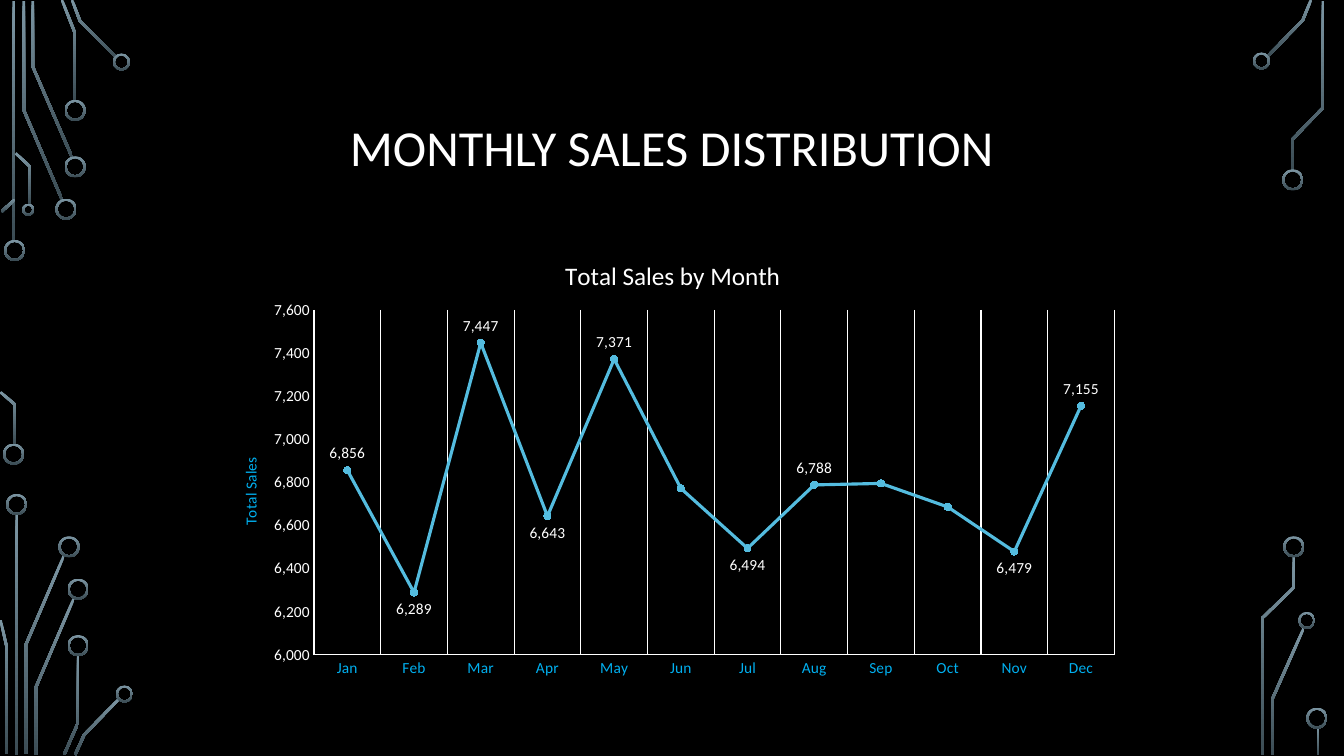
from math import hypot

from lxml import etree
from pptx import Presentation
from pptx.chart.data import CategoryChartData
from pptx.dml.color import RGBColor
from pptx.enum.chart import XL_CHART_TYPE as ChartType
from pptx.enum.chart import XL_LABEL_POSITION as LabelSpot
from pptx.enum.chart import XL_MARKER_STYLE as Marker
from pptx.enum.chart import XL_TICK_MARK as Tick
from pptx.enum.shapes import MSO_SHAPE as Preset
from pptx.enum.text import MSO_ANCHOR as Anchor
from pptx.enum.text import PP_ALIGN as Align
from pptx.oxml.ns import qn
from pptx.util import Emu, Pt

# Content
TITLE = "MONTHLY SALES DISTRIBUTION"
CHART_TITLE = "Total Sales by Month"
AXIS_TITLE = "Total Sales"
SALES = {
    "Jan": 6856, "Feb": 6289, "Mar": 7447, "Apr": 6643, "May": 7371, "Jun": 6772,
    "Jul": 6494, "Aug": 6788, "Sep": 6795, "Oct": 6686, "Nov": 6479, "Dec": 7155,
}
LABEL_BELOW = ("Feb", "Apr", "Jul", "Nov")
LABEL_HIDDEN = ("Jun", "Sep", "Oct")

# Circuit decoration: centre lines of the traces, then rings as left, top, size
TRACES = [
    # top left
    [(13, 1), (13, 240)],
    [(23, 1), (23, 109), (61, 198)],
    [(32, 1), (32, 66), (71, 156)],
    [(61, 0), (74, 33), (74, 100)],
    [(71, 0), (79, 21), (115, 57)],
    [(1, 210), (14, 198)],
    [(0, 389), (14, 401), (14, 441)],
    [(15, 152), (29, 165), (29, 203)],
    # bottom left
    [(16, 510), (16, 749)],
    [(63, 551), (25, 640), (25, 748)],
    [(0, 615), (6, 641), (6, 748)],
    [(73, 593), (35, 682), (35, 749)],
    [(77, 650), (77, 717), (63, 749)],
    [(118, 693), (83, 729), (74, 749)],
    # right
    [(1300, 0), (1292, 20), (1257, 56)],
    [(1312, 1), (1312, 107), (1282, 138), (1282, 169)],
    [(1293, 623), (1262, 693), (1262, 749)],
    [(1283, 552), (1283, 583), (1252, 613), (1252, 749)],
    [(1307, 721), (1307, 749)],
]
RINGS = [
    (4, 238, 21), (3, 440, 21), (55, 197, 21), (64, 155, 21), (64, 99, 21),
    (112, 53, 17), (22, 202, 12), (6, 490, 21), (58, 532, 21), (67, 574, 21),
    (67, 630, 21), (115, 680, 17), (1243, 52, 17), (1272, 168, 21),
    (1288, 607, 17), (1273, 532, 21), (1296, 702, 21),
]

THEME = {
    "font": "Calibri",
    "back": "000000", "text": "FFFFFF", "accent": "00B0F0", "line": "54BCDF",
    "trace_top": "7C96A3", "trace_end": "3B4C54",
    "title_size": 36, "chart_title_size": 18, "label_size": 11,
}

# Geometry, 100 px to the inch
PX = 9144
TITLE_BOX = (125, 68, 1083, 162)
CHART_BOX = (208, 229, 916, 453)
TRACE_WIDTH = 2.6
RING_WIDTH = 2


def px(*lengths):
    return [Emu(round(length * PX)) for length in lengths]


def color(name):
    return RGBColor.from_string(THEME[name])


def style_font(font, size, name="text"):
    font.name, font.size, font.bold = THEME["font"], Pt(THEME[size]), False
    font.color.rgb = color(name)


def style_trace(shape):
    shape.shadow.inherit = False
    shape.line.fill.background()
    shape.fill.gradient()
    shape.fill.gradient_angle = 270
    for stop, name in zip(shape.fill.gradient_stops, ("trace_top", "trace_end")):
        stop.color.rgb = color(name)


def ribbon(points, width):
    """Outline of a band of even width along a bent centre line."""
    normals = []
    for (x1, y1), (x2, y2) in zip(points, points[1:]):
        length = hypot(x2 - x1, y2 - y1)
        normals.append(((y1 - y2) / length, (x2 - x1) / length))
    left, right = [], []
    before, after = normals[:1] + normals, normals + normals[-1:]
    for (x, y), (ax, ay), (bx, by) in zip(points, before, after):
        reach = width / 2 / (1 + ax * bx + ay * by)
        dx, dy = (ax + bx) * reach, (ay + by) * reach
        left.append((x + 0.5 + dx, y + dy))
        right.append((x + 0.5 - dx, y - dy))
    return left + right[::-1]


def place(element, **shares):
    """Give a chart part a fixed place, as shares of the chart area."""
    layout = element.find(qn("c:layout"))
    if layout is None:
        layout = etree.Element(qn("c:layout"))
        element.insert(0 if element.find(qn("c:tx")) is None else 1, layout)
    manual = etree.SubElement(layout, qn("c:manualLayout"))
    if "w" in shares:
        etree.SubElement(manual, qn("c:layoutTarget")).set("val", "inner")
    for mode in ("xMode", "yMode"):
        etree.SubElement(manual, qn(f"c:{mode}")).set("val", "edge")
    for side, share in shares.items():
        etree.SubElement(manual, qn(f"c:{side}")).set("val", str(share))


def add_circuit(page):
    for trace in TRACES:
        start, *rest = [px(x, y) for x, y in ribbon(trace, TRACE_WIDTH)]
        builder = page.shapes.build_freeform(*start)
        builder.add_line_segments(rest, close=True)
        style_trace(builder.convert_to_shape())
    for left, top, size in RINGS:
        ring = page.shapes.add_shape(Preset.DONUT, *px(left, top, size, size))
        ring.adjustments[0] = RING_WIDTH / size
        style_trace(ring)


def add_title(page):
    frame = page.shapes.add_textbox(*px(*TITLE_BOX)).text_frame
    frame.word_wrap = True
    frame.vertical_anchor = Anchor.MIDDLE
    frame.text = TITLE
    para = frame.paragraphs[0]
    para.alignment, para.line_spacing = Align.CENTER, 0.9
    style_font(para.runs[0].font, "title_size")


def style_axes(chart):
    months, amounts = chart.category_axis, chart.value_axis
    for axis, name in ((months, "accent"), (amounts, "text")):
        axis.major_tick_mark = axis.minor_tick_mark = Tick.NONE
        style_font(axis.tick_labels.font, "label_size", name)
    months.has_major_gridlines = True
    for line in (months.format.line, months.major_gridlines.format.line):
        line.color.rgb, line.width = color("text"), Pt(0.75)
    amounts.has_major_gridlines = False
    amounts.format.line.fill.background()
    amounts.minimum_scale, amounts.maximum_scale, amounts.major_unit = 6000, 7600, 200
    frame = amounts.axis_title.text_frame
    frame.text = AXIS_TITLE
    style_font(frame.paragraphs[0].runs[0].font, "label_size", "accent")
    frame._txBody.bodyPr.set("rot", "-5400000")
    frame._txBody.bodyPr.set("vert", "horz")
    place(amounts.axis_title._element, x=0.03, y=0.49)


def style_series(series):
    series.smooth = False
    series.format.line.color.rgb, series.format.line.width = color("line"), Pt(2.25)
    series.marker.style, series.marker.size = Marker.CIRCLE, 5
    series.marker.format.fill.solid()
    series.marker.format.fill.fore_color.rgb = color("line")
    series.marker.format.line.color.rgb = color("line")
    labels = series.data_labels
    labels.show_value, labels.position = True, LabelSpot.ABOVE
    labels.number_format, labels.number_format_is_linked = "#,##0", False
    style_font(labels.font, "label_size")
    for index, month in enumerate(SALES):
        if month in LABEL_BELOW + LABEL_HIDDEN:
            label = series.points[index].data_label
            style_font(label.font, "label_size")
            label.position = LabelSpot.BELOW
        if month in LABEL_HIDDEN:
            entry = labels._element.findall(qn("c:dLbl"))[-1]
            for part in entry[1:]:
                entry.remove(part)
            etree.SubElement(entry, qn("c:delete")).set("val", "1")


def add_sales_chart(page):
    data = CategoryChartData(number_format="#,##0")
    data.categories = list(SALES)
    data.add_series("Series 1", list(SALES.values()))
    chart = page.shapes.add_chart(ChartType.LINE_MARKERS, *px(*CHART_BOX), data).chart
    style_font(chart.font, "label_size")
    chart.has_legend = False
    chart.has_title = True
    frame = chart.chart_title.text_frame
    frame.text = CHART_TITLE
    style_font(frame.paragraphs[0].runs[0].font, "chart_title_size")
    place(chart.chart_title._element, x=0.38, y=0.05)
    place(chart._chartSpace.chart.plotArea, x=0.113, y=0.173, w=0.867, h=0.756)
    chart.plots[0].vary_by_categories = False
    style_axes(chart)
    style_series(chart.plots[0].series[0])


def main():
    deck = Presentation()
    deck.slide_width, deck.slide_height = Emu(12192000), Emu(750 * PX)
    page = deck.slides.add_slide(deck.slide_layouts[6])
    page.background.fill.solid()
    page.background.fill.fore_color.rgb = color("back")
    add_circuit(page)
    add_title(page)
    add_sales_chart(page)
    deck.save("out.pptx")


if __name__ == "__main__":
    main()
